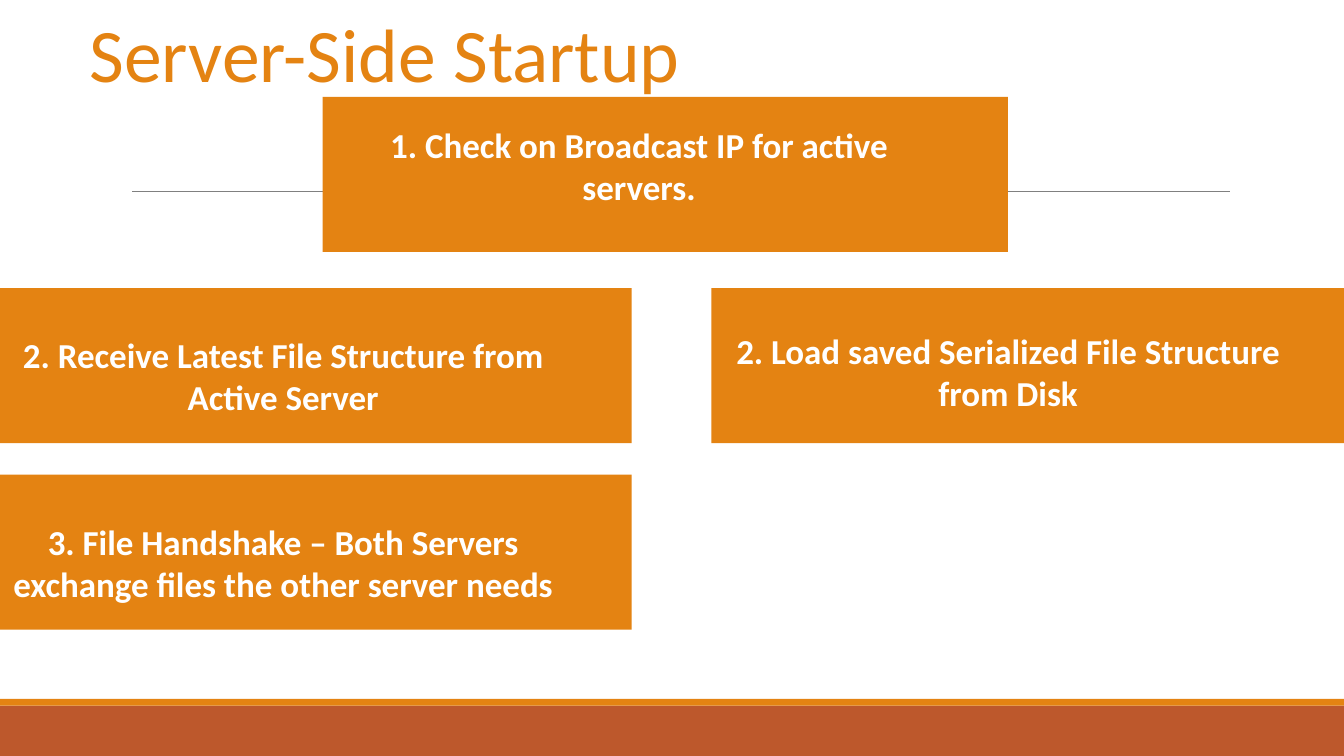
from pptx import Presentation
from pptx.dml.color import RGBColor
from pptx.enum.shapes import MSO_CONNECTOR, MSO_SHAPE
from pptx.enum.text import MSO_AUTO_SIZE, PP_ALIGN
from pptx.oxml.ns import qn
from pptx.util import Cm, Pt
from lxml import etree

RECTANGLE = MSO_SHAPE.RECTANGLE
STRAIGHT = MSO_CONNECTOR.STRAIGHT
GROW = MSO_AUTO_SIZE.SHAPE_TO_FIT_TEXT
CENTER = PP_ALIGN.CENTER

ORANGE = RGBColor(0xE4, 0x83, 0x12)
RUST = RGBColor(0xBD, 0x58, 0x2C)
GRAY = RGBColor(0x80, 0x80, 0x80)
WHITE = RGBColor(0xFF, 0xFF, 0xFF)

FONT = "Calibri"
SLIDE_WIDTH, SLIDE_HEIGHT = 33.87, 19.05
FOOTER_TOP, STRIPE_HEIGHT = 17.78, 0.17
STEP_HEIGHT = 3.91
LABEL_WIDTH, LABEL_HEIGHT = 14.99, 2.39
TOP_WIDTH, SIDE_WIDTH = 17.27, 15.95
LEFT_X, RIGHT_X = -0.03, 17.93
SECOND_ROW, THIRD_ROW = 7.26, 11.96

STEPS = [
    ("1. Check on Broadcast IP for active servers.",
     8.13, 2.44, TOP_WIDTH, 8.61, 3.0),
    ("2. Receive Latest File Structure from Active Server",
     LEFT_X, SECOND_ROW, SIDE_WIDTH, -0.36, 8.28),
    ("3. File Handshake – Both Servers exchange files the other server needs",
     LEFT_X, THIRD_ROW, SIDE_WIDTH, -0.36, 13.0),
    ("2. Load saved Serialized File Structure from Disk",
     RIGHT_X, SECOND_ROW, SIDE_WIDTH, 17.91, 8.18),
]


def add_block(slide, left, top, width, height, color):
    """Add a plain filled rectangle without outline."""
    block = slide.shapes.add_shape(
        RECTANGLE, Cm(left), Cm(top), Cm(width), Cm(height))
    block.shadow.inherit = False
    block.fill.solid()
    block.fill.fore_color.rgb = color
    block.line.fill.background()


def add_rule(slide, left, right, y):
    """Add the thin horizontal rule."""
    rule = slide.shapes.add_connector(
        STRAIGHT, Cm(left), Cm(y), Cm(right), Cm(y))
    rule.line.color.rgb = GRAY
    rule.line.width = Pt(0.5)
    etree.SubElement(rule._element.spPr, qn("a:effectLst"))


def add_label(slide, text, left, top, width, height, size, color,
              bold=False, wrap=True):
    """Add a centred one-paragraph text box."""
    label = slide.shapes.add_textbox(
        Cm(left), Cm(top), Cm(width), Cm(height))
    frame = label.text_frame
    frame.word_wrap = wrap
    frame.auto_size = GROW
    paragraph = frame.paragraphs[0]
    paragraph.text = text
    paragraph.alignment = CENTER
    paragraph.font.name = FONT
    paragraph.font.size = Pt(size)
    paragraph.font.bold = bold
    paragraph.font.color.rgb = color


def add_step(slide, text, left, top, width, label_left, label_top):
    """Add one startup step: its block and its label."""
    add_block(slide, left, top, width, STEP_HEIGHT, ORANGE)
    add_label(slide, text, label_left, label_top, LABEL_WIDTH, LABEL_HEIGHT,
              25, WHITE, bold=True)


def main():
    """Build and save the server startup slide."""
    deck = Presentation()
    deck.slide_width, deck.slide_height = Cm(SLIDE_WIDTH), Cm(SLIDE_HEIGHT)
    slide = deck.slides.add_slide(deck.slide_layouts[6])

    add_block(slide, 0, FOOTER_TOP, SLIDE_WIDTH, SLIDE_HEIGHT - FOOTER_TOP, RUST)
    add_block(slide, 0, FOOTER_TOP - STRIPE_HEIGHT, SLIDE_WIDTH, STRIPE_HEIGHT,
              ORANGE)
    add_rule(slide, 3.33, 31.0, 4.82)
    for step in STEPS:
        add_step(slide, *step)
    add_label(slide, "Server-Side Startup", 1.9, 0.05, 15.6, 2.57, 54, ORANGE,
              wrap=False)

    deck.save("out.pptx")


main()
